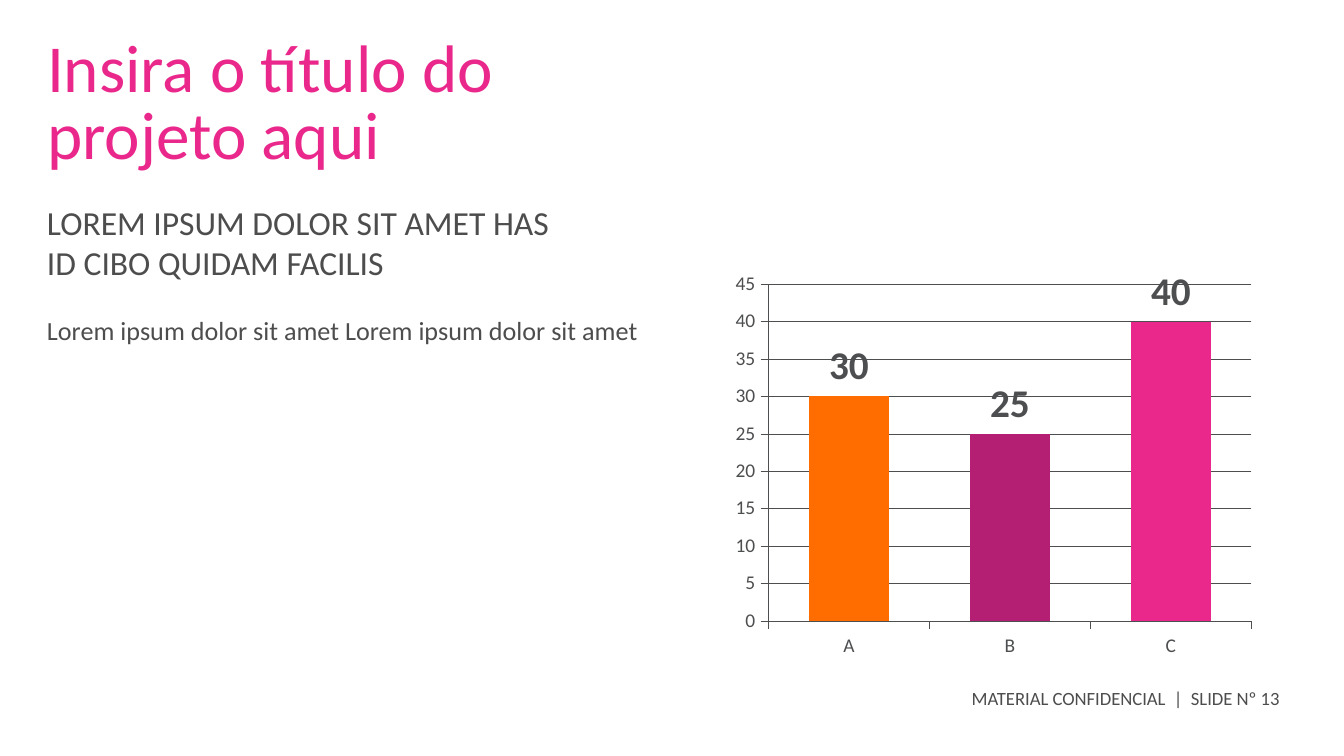
from lxml import etree
from pptx import Presentation
from pptx.chart.data import CategoryChartData
from pptx.dml.color import RGBColor
from pptx.enum.chart import XL_CHART_TYPE as ChartType
from pptx.enum.chart import XL_LABEL_POSITION as LabelPosition
from pptx.enum.chart import XL_TICK_MARK as TickMark
from pptx.enum.text import MSO_ANCHOR as Anchor
from pptx.enum.text import MSO_AUTO_SIZE as AutoSize
from pptx.enum.text import PP_ALIGN as Align
from pptx.oxml.ns import qn
from pptx.util import Inches, Pt

FONT = "Calibri"
PINK = "EA288C"
TEXT_GREY = "4D4D4D"
CHART_GREY = "4D4E50"
BAR_COLORS = ["FF6D00", "B51F73", PINK]
SLIDE_WIDTH = 10
SLIDE_HEIGHT = SLIDE_WIDTH * 9 / 16


def rgb(value):
    return RGBColor.from_string(value)


def format_font(font, size, color, bold=False):
    font.name = FONT
    font.size = Pt(size)
    font.bold = bold
    font.color.rgb = rgb(color)


def place(shape, left, top, width, height):
    shape.left, shape.top = Inches(left), Inches(top)
    shape.width, shape.height = Inches(width), Inches(height)


def write_text(box, text, size, color=TEXT_GREY, line_spacing=None):
    """Fill a box with one paragraph; a vertical tab marks a line break."""
    frame = box.text_frame
    frame.margin_left = frame.margin_right = 0
    frame.margin_top = frame.margin_bottom = 0
    frame.word_wrap = True
    frame.auto_size = AutoSize.NONE
    frame.vertical_anchor = Anchor.TOP
    para = frame.paragraphs[0]
    para.text = text
    para.alignment = Align.LEFT
    if line_spacing:
        para.line_spacing = Pt(line_spacing)
    for span in para.runs:
        format_font(span.font, size, color)


def add_text(slide, text, area, **text_format):
    box = slide.shapes.add_textbox(*map(Inches, area))
    write_text(box, text, **text_format)


def format_line(line):
    line.color.rgb = rgb(CHART_GREY)
    line.width = Pt(0.25)


def format_axis(axis):
    axis.major_tick_mark = TickMark.OUTSIDE
    axis.minor_tick_mark = TickMark.NONE
    format_line(axis.format.line)
    format_font(axis.tick_labels.font, 10.4, CHART_GREY)


def set_plot_area(chart, left, top, width, height):
    """Fix the inner plot area, in fractions of the chart's size."""
    plot_area = chart._chartSpace.chart.plotArea
    for old_layout in plot_area.findall(qn("c:layout")):
        plot_area.remove(old_layout)
    layout = etree.Element(qn("c:layout"))
    manual = etree.SubElement(layout, qn("c:manualLayout"))
    settings = {"layoutTarget": "inner", "xMode": "edge", "yMode": "edge",
                "x": left, "y": top, "w": width, "h": height}
    for name, value in settings.items():
        etree.SubElement(manual, qn(f"c:{name}")).set("val", str(value))
    plot_area.insert(0, layout)


def add_column_chart(slide, categories, values, area):
    data = CategoryChartData()
    data.categories = categories
    data.add_series("Series 1", values)
    chart = slide.shapes.add_chart(
        ChartType.COLUMN_CLUSTERED, *map(Inches, area), data).chart
    chart.has_legend = False
    chart.has_title = False
    format_font(chart.font, 10.4, CHART_GREY)
    set_plot_area(chart, 0.118, 0.045, 0.802, 0.838)

    format_axis(chart.category_axis)
    value_axis = chart.value_axis
    format_axis(value_axis)
    value_axis.minimum_scale, value_axis.maximum_scale = 0, 45
    value_axis.major_unit = 5
    value_axis.has_major_gridlines = True
    format_line(value_axis.major_gridlines.format.line)

    plot = chart.plots[0]
    plot.gap_width = 100
    plot.vary_by_categories = False
    series = plot.series[0]
    for index, color in enumerate(BAR_COLORS):
        fill = series.points[index].format.fill
        fill.solid()
        fill.fore_color.rgb = rgb(color)
    labels = series.data_labels
    labels.show_value = True
    labels.position = LabelPosition.OUTSIDE_END
    format_font(labels.font, 21, CHART_GREY, bold=True)


def main():
    deck = Presentation()
    deck.slide_width = Inches(SLIDE_WIDTH)
    deck.slide_height = Inches(SLIDE_HEIGHT)
    slide = deck.slides.add_slide(deck.slide_layouts[5])

    title = slide.shapes.title
    place(title, 0.35, 0.29, 4.16, 1.03)
    write_text(title, "Insira o título do projeto aqui", size=36,
               color=PINK, line_spacing=36)
    add_text(slide, "LOREM IPSUM DOLOR SIT AMET HAS \vID CIBO QUIDAM FACILIS",
             (0.35, 1.5, 4.16, 0.61), size=18)
    add_text(slide, "Lorem ipsum dolor sit amet Lorem ipsum dolor sit amet",
             (0.35, 2.38, 4.67, 1.31), size=14, line_spacing=14)
    add_text(slide, "MATERIAL CONFIDENCIAL  |  SLIDE Nº 13",
             (7.23, 5.11, 2.33, 0.3), size=10)
    add_column_chart(slide, ["A", "B", "C"], [30, 25, 40],
                     (5.19, 1.98, 4.48, 2.99))
    deck.save("out.pptx")


if __name__ == "__main__":
    main()
